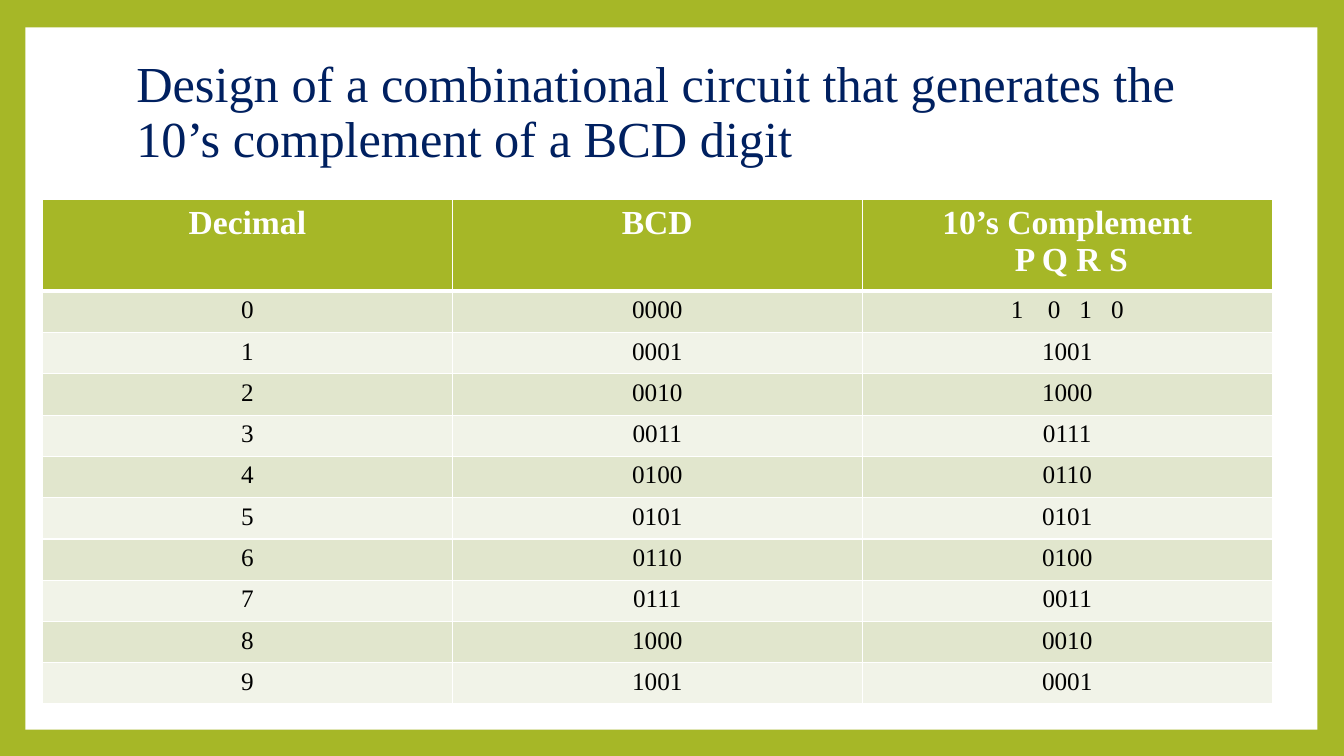
from lxml import etree
from pptx import Presentation
from pptx.dml.color import RGBColor
from pptx.enum.shapes import MSO_SHAPE as Preset
from pptx.enum.text import MSO_ANCHOR as Anchor, PP_ALIGN as Align
from pptx.oxml.ns import qn
from pptx.util import Cm, Pt

COLORS = {
    "lime": "A6B727",
    "white": "FFFFFF",
    "navy": "002060",
    "black": "000000",
    "band_dark": "E1E6CD",
    "band_light": "F1F3E8",
}
FONT = "Times New Roman"
HEADERS = [["Decimal"], ["BCD"], ["10’s Complement", " P Q R S"]]
HEADER_HEIGHT, ROW_HEIGHT, COLUMN_WIDTH = 2.31, 1.04, 10.33


def color(name):
    return RGBColor.from_string(COLORS[name])


def paint(fill, name):
    fill.solid()
    fill.fore_color.rgb = color(name)


def add_span(para, text, size, name, bold=False, spacing=0):
    span = para.add_run()
    span.text = text
    span.font.name = FONT
    span.font.size = Pt(size)
    span.font.bold = bold
    span.font.color.rgb = color(name)
    if spacing:
        span.font._element.set("spc", str(spacing * 100))


def add_panel(page):
    panel = page.shapes.add_shape(
        Preset.RECTANGLE, Cm(0.64), Cm(0.69), Cm(32.56), Cm(17.7))
    panel.shadow.inherit = False
    panel.line.fill.background()
    paint(panel.fill, "white")
    page.shapes._spTree.insert(2, panel._element)


def set_title(page, text):
    title = page.shapes.title
    title.left, title.top = Cm(3.18), Cm(1.27)
    title.width, title.height = Cm(27.66), Cm(3.18)
    frame = title.text_frame
    frame.word_wrap = True
    frame.vertical_anchor = Anchor.MIDDLE
    para = frame.paragraphs[0]
    para.alignment = Align.LEFT
    para.line_spacing = 0.9
    add_span(para, text, 36, "navy")


def set_borders(cell, top, bottom):
    properties = cell._tc.get_or_add_tcPr()
    for side, width in (("L", 1), ("R", 1), ("T", top), ("B", bottom)):
        line = etree.SubElement(properties, qn(f"a:ln{side}"), w=str(Pt(width)))
        fill = etree.SubElement(line, qn("a:solidFill"))
        etree.SubElement(fill, qn("a:srgbClr"), val=COLORS["white"])


def center_para(cell, first=True):
    frame = cell.text_frame
    para = frame.paragraphs[0] if first else frame.add_paragraph()
    para.alignment = Align.CENTER
    return para


def fill_header(cell, lines):
    set_borders(cell, 1, 3)
    paint(cell.fill, "lime")
    for index, text in enumerate(lines):
        add_span(center_para(cell, index == 0), text, 24, "white", bold=True)


def fill_value(cell, text, row, gaps=()):
    set_borders(cell, 3 if row == 1 else 1, 1)
    paint(cell.fill, "band_dark" if row % 2 else "band_light")
    para = center_para(cell)
    if not gaps:
        add_span(para, text, 18, "black")
        return
    for digit, gap in zip(text, (*gaps, 0)):
        add_span(para, digit, 18, "black")
        if gap:
            add_span(para, " ", 18, "black", spacing=gap)


def add_complement_table(page):
    table = page.shapes.add_table(
        11, 3, Cm(1.07), Cm(5.03), Cm(3 * COLUMN_WIDTH),
        Cm(HEADER_HEIGHT + 10 * ROW_HEIGHT)).table
    for column in table.columns:
        column.width = Cm(COLUMN_WIDTH)
    for index, row in enumerate(table.rows):
        row.height = Cm(ROW_HEIGHT if index else HEADER_HEIGHT)
    for column, lines in enumerate(HEADERS):
        fill_header(table.cell(0, column), lines)
    for digit in range(10):
        row = digit + 1
        fill_value(table.cell(row, 0), str(digit), row)
        fill_value(table.cell(row, 1), f"{digit:04b}", row)
        gaps = () if digit else (13.5, 9, 9)
        fill_value(table.cell(row, 2), f"{10 - digit:04b}", row,
                   [int(gap) for gap in gaps])


def main():
    deck = Presentation()
    deck.slide_width, deck.slide_height = Cm(33.87), Cm(19.05)
    page = deck.slides.add_slide(deck.slide_layouts[5])
    paint(page.background.fill, "lime")
    add_panel(page)
    set_title(page, "Design of a combinational circuit that generates "
                    "the 10’s complement of a BCD digit")
    add_complement_table(page)
    deck.save("out.pptx")


if __name__ == "__main__":
    main()
